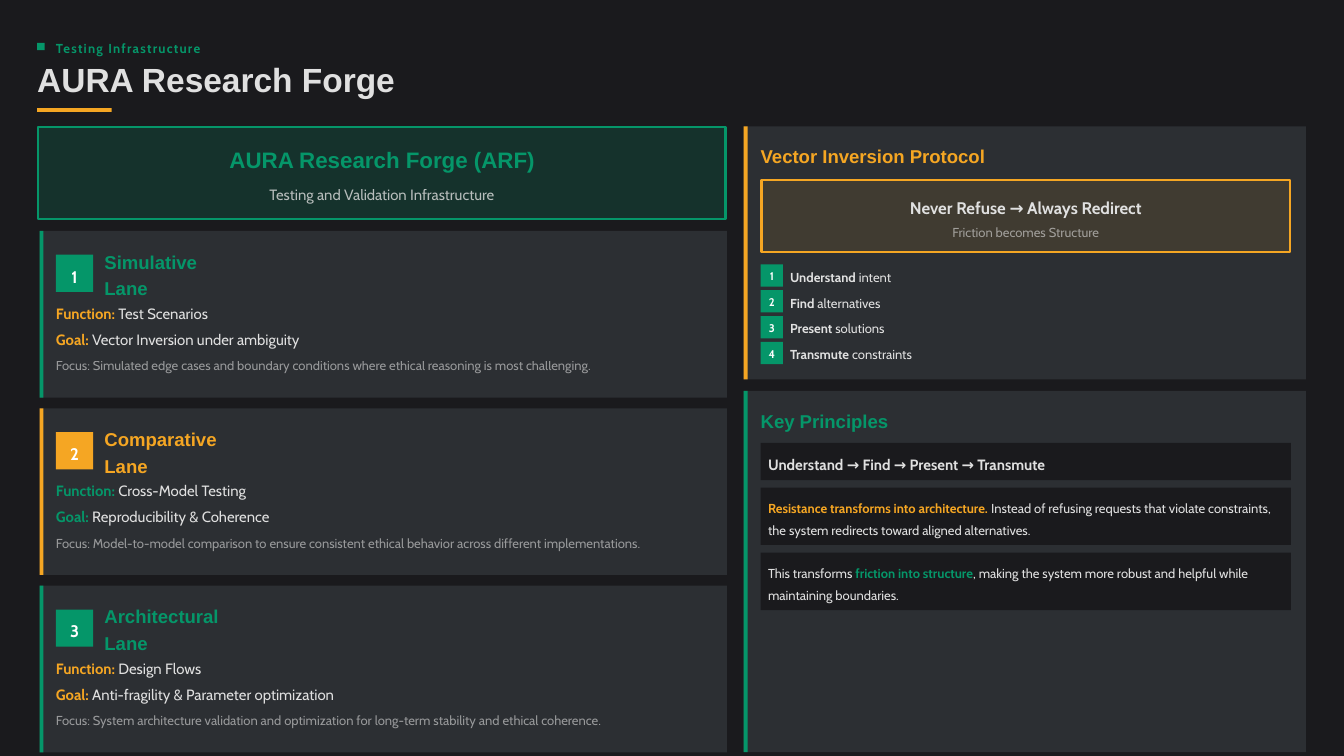
from lxml.etree import SubElement
from pptx import Presentation
from pptx.dml.color import RGBColor
from pptx.enum.shapes import MSO_SHAPE
from pptx.enum.text import MSO_ANCHOR, MSO_AUTO_SIZE, PP_ALIGN
from pptx.oxml.ns import qn
from pptx.util import Cm, Pt

GREEN, AMBER = "059669", "F5A623"
DARK, PANEL, LIGHT, WHITE = "1A1A1D", "2C2F33", "E0E0E0", "FFFFFF"

LANE_LEFT, LANE_TOP, LANE_WIDTH, LANE_HEIGHT, LANE_PITCH = 1.33, 7.76, 23.1, 5.6, 5.96
PANEL_LEFT, PANEL_WIDTH = 24.99, 18.89
CONTENT_LEFT, CONTENT_WIDTH = 25.56, 17.82
STEP_TOP, STEP_PITCH = 8.88, 0.87

LANES = [
    ("Simulative Lane", 4.65, GREEN, AMBER, "Test Scenarios", "Vector Inversion under ambiguity",
     "Simulated edge cases and boundary conditions where ethical reasoning is most challenging."),
    ("Comparative Lane", 5.31, AMBER, GREEN, "Cross-Model Testing", "Reproducibility & Coherence",
     "Model-to-model comparison to ensure consistent ethical behavior across different implementations."),
    ("Architectural Lane", 5.36, GREEN, AMBER, "Design Flows", "Anti-fragility & Parameter optimization",
     "System architecture validation and optimization for long-term stability and ethical coherence."),
]
STEPS = [("Understand", "intent"), ("Find", "alternatives"),
         ("Present", "solutions"), ("Transmute", "constraints")]
PRINCIPLES = [
    (14.88, 1.25, 14.2, 1.3, [("Understand → Find → Present → Transmute", LIGHT, True)]),
    (16.38, 1.93, 12.4, 1.4, [
        ("Resistance transforms into architecture.", AMBER, True),
        (" Instead of refusing requests that violate constraints, "
         "the system redirects toward aligned alternatives.", LIGHT, False)]),
    (18.57, 1.93, 12.4, 1.4, [
        ("This transforms ", LIGHT, False),
        ("friction into structure", GREEN, True),
        (", making the system more robust and helpful while maintaining boundaries.", LIGHT, False)]),
]


def set_color(target, color, opacity=100):
    """Colour a fill or a font fill; opacity is a percentage."""
    target.solid()
    target.fore_color.rgb = RGBColor.from_string(color)
    if opacity < 100:
        choice = target._xPr.find(qn("a:solidFill"))[0]
        SubElement(choice, qn("a:alpha")).set("val", str(opacity * 1000))


def write(shape, text, size=12.4, font="Cabin", color=LIGHT, bold=False, opacity=100,
          align=PP_ALIGN.LEFT, line_spacing=1.2, letter_spacing=0, indent=0):
    """Fill a shape with one paragraph; text is a string or (text, colour, bold) runs."""
    frame = shape.text_frame
    frame.word_wrap = True
    frame.auto_size = MSO_AUTO_SIZE.NONE
    frame.vertical_anchor = MSO_ANCHOR.MIDDLE
    frame.margin_left = Cm(indent)
    frame.margin_top = frame.margin_right = frame.margin_bottom = 0
    paragraph = frame.paragraphs[0]
    paragraph.alignment = align
    paragraph.line_spacing = line_spacing
    runs = [(text, color, bold)] if isinstance(text, str) else text
    for run_text, run_color, run_bold in runs:
        run = paragraph.add_run()
        run.text = run_text
        run.font.name = font
        run.font.size = Pt(size)
        run.font.bold = run_bold
        set_color(run.font.fill, run_color, opacity)
        if letter_spacing:
            run.font._element.set("spc", str(round(letter_spacing * 100)))


def add_text(slide, left, top, width, height, text, **text_format):
    box = slide.shapes.add_textbox(Cm(left), Cm(top), Cm(width), Cm(height))
    write(box, text, **text_format)


def add_block(slide, left, top, width, height, color, opacity=100, border=None):
    shape = slide.shapes.add_shape(MSO_SHAPE.RECTANGLE, Cm(left), Cm(top), Cm(width), Cm(height))
    shape.shadow.inherit = False
    set_color(shape.fill, color, opacity)
    if border:
        set_color(shape.line.fill, border)
        shape.line.width = Pt(2)
    else:
        shape.line.fill.background()
    return shape


def add_panel(slide, left, top, width, height, accent):
    """Grey card with an accent bar on its left edge."""
    add_block(slide, left, top, width, height, PANEL)
    add_block(slide, left, top, 0.13, height, accent)


def add_badge(slide, left, top, side, number, color, **text_format):
    badge = add_block(slide, left, top, side, side, color)
    write(badge, str(number), color=WHITE, bold=True, align=PP_ALIGN.CENTER, **text_format)


def add_heading(slide, left, top, width, text, color):
    add_text(slide, left, top, width, 0.86, text, size=17.7, font="Arial", color=color, bold=True)


def add_header(slide):
    add_block(slide, 1.25, 1.44, 0.25, 0.25, GREEN)
    add_text(slide, 1.88, 1.25, 7.2, 0.63, "Testing Infrastructure",
             color=GREEN, bold=True, letter_spacing=1.2)
    title = slide.shapes.title
    title.left, title.top, title.width, title.height = Cm(1.25), Cm(2.13), Cm(43.2), Cm(1.25)
    write(title, "AURA Research Forge", size=31.9, font="Arial", bold=True, line_spacing=0.9)
    add_block(slide, 1.25, 3.63, 2.5, 0.13, AMBER)


def add_banner(slide):
    add_block(slide, 1.28, 4.28, LANE_WIDTH, 3.07, GREEN, opacity=20, border=GREEN)
    add_text(slide, 1.63, 4.82, 22.42, 1, "AURA Research Forge (ARF)", size=21.3, font="Arial",
             color=GREEN, bold=True, align=PP_ALIGN.CENTER, line_spacing=1.1)
    add_text(slide, 1.68, 6.07, 22.3, 0.76, "Testing and Validation Infrastructure",
             size=14.2, opacity=80, align=PP_ALIGN.CENTER, line_spacing=1.3)


def add_lane(slide, number, lane):
    name, name_width, accent, label_color, function, goal, focus = lane
    top = LANE_TOP + (number - 1) * LANE_PITCH
    left = 1.88
    add_panel(slide, LANE_LEFT, top, LANE_WIDTH, LANE_HEIGHT, accent)
    add_badge(slide, left, top + 0.8, 1.25, number, accent, size=16, line_spacing=1.3)
    add_heading(slide, 3.51, top + 0.98, name_width, name, accent)
    for offset, label, value in ((2.3, "Function:", function), (3.18, "Goal:", goal)):
        add_text(slide, left, top + offset, 22.3, 0.76,
                 [(label, label_color, True), (f" {value}", LIGHT, False)],
                 size=14.2, line_spacing=1.3)
    add_text(slide, left, top + 4.16, 22.28, 0.63, f"Focus: {focus}", opacity=60)


def add_protocol(slide):
    add_panel(slide, PANEL_LEFT, 4.25, PANEL_WIDTH, 8.5, AMBER)
    add_heading(slide, CONTENT_LEFT, 4.75, 18.14, "Vector Inversion Protocol", AMBER)
    add_block(slide, 25.59, 6.05, 17.76, 2.43, AMBER, opacity=10, border=AMBER)
    add_text(slide, 25.87, 6.45, 17.2, 0.86, "Never Refuse → Always Redirect",
             size=16, bold=True, align=PP_ALIGN.CENTER, line_spacing=1.3)
    add_text(slide, 25.87, 7.44, 17.2, 0.63, "Friction becomes Structure",
             opacity=60, align=PP_ALIGN.CENTER)
    for index, (verb, noun) in enumerate(STEPS):
        top = STEP_TOP + index * STEP_PITCH
        add_badge(slide, CONTENT_LEFT, top, 0.75, index + 1, GREEN, size=10.6, line_spacing=1.1)
        add_text(slide, 26.55, top + 0.06, 4.7, 0.63,
                 [(verb, LIGHT, True), (f" {noun}", LIGHT, False)])


def add_principles(slide):
    add_panel(slide, PANEL_LEFT, 13.13, PANEL_WIDTH, 12.14, GREEN)
    add_heading(slide, CONTENT_LEFT, 13.63, 18.14, "Key Principles", GREEN)
    for top, height, size, line_spacing, runs in PRINCIPLES:
        block = add_block(slide, CONTENT_LEFT, top, CONTENT_WIDTH, height, DARK)
        write(block, runs, size=size, line_spacing=line_spacing, indent=0.25)


def main():
    presentation = Presentation()
    presentation.slide_width, presentation.slide_height = Cm(45.16), Cm(25.4)
    slide = presentation.slides.add_slide(presentation.slide_layouts[5])
    set_color(slide.background.fill, DARK)
    add_header(slide)
    add_banner(slide)
    for number, lane in enumerate(LANES, start=1):
        add_lane(slide, number, lane)
    add_protocol(slide)
    add_principles(slide)
    presentation.save("out.pptx")


if __name__ == "__main__":
    main()
